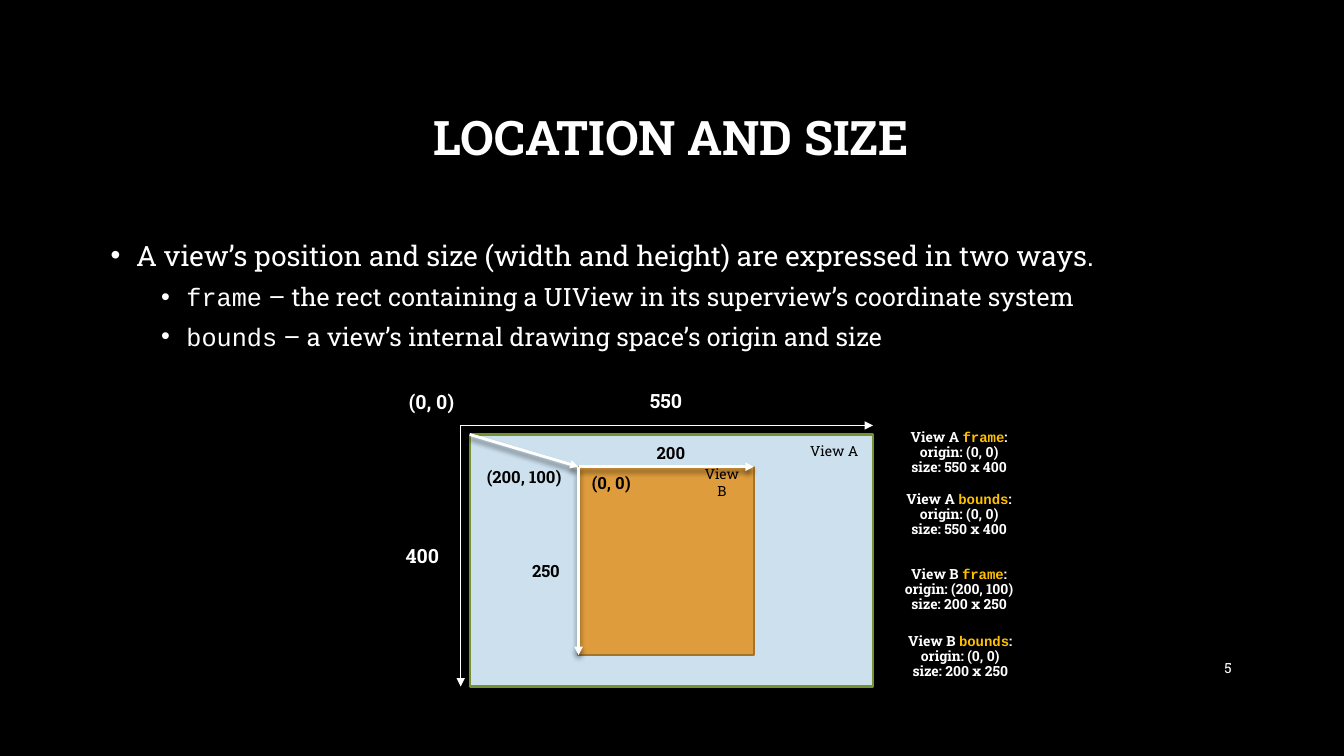
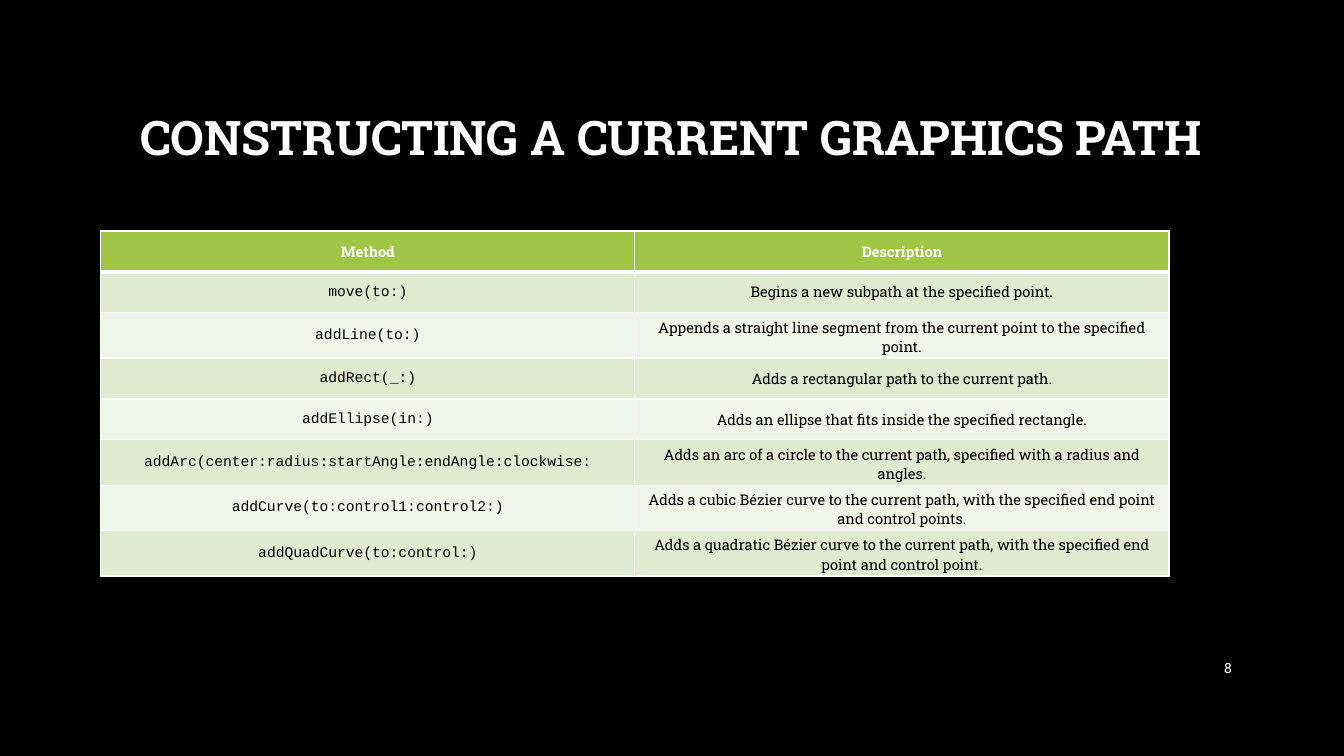
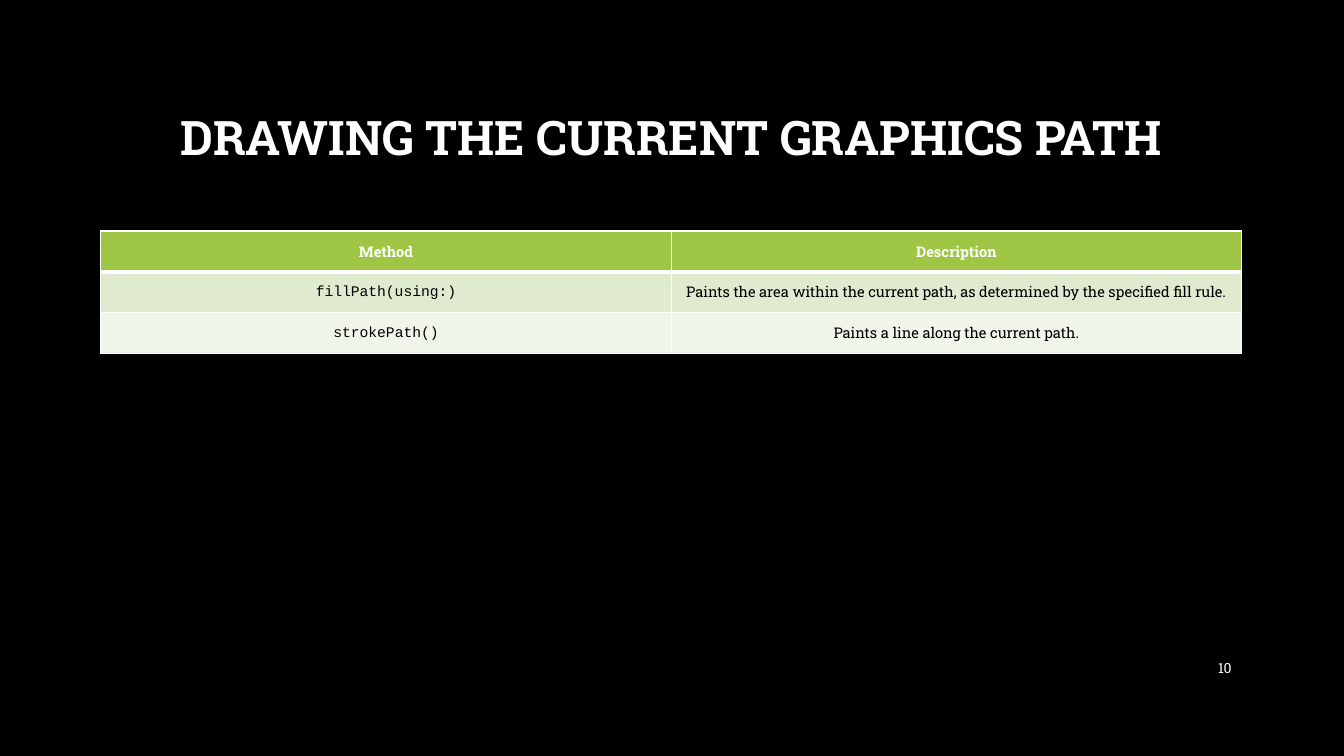
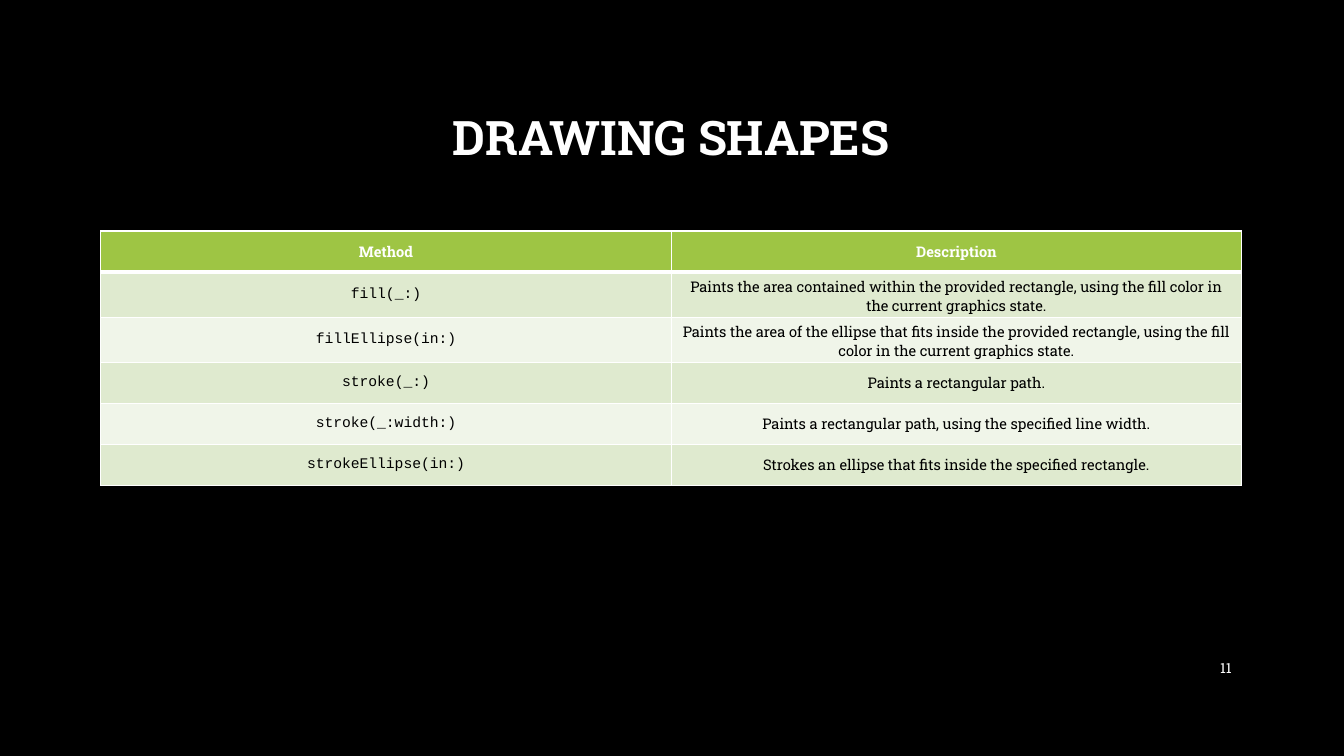
from pptx import Presentation
from pptx.dml.color import RGBColor
from pptx.enum.shapes import MSO_CONNECTOR, MSO_SHAPE
from pptx.enum.text import MSO_ANCHOR, PP_ALIGN
from pptx.oxml.ns import qn
from pptx.util import Cm, Pt
from lxml.etree import SubElement

BLACK = RGBColor(0x00, 0x00, 0x00)
WHITE = RGBColor(0xFF, 0xFF, 0xFF)
AMBER = RGBColor(0xFF, 0xC0, 0x00)
PALE_BLUE = RGBColor(0xCC, 0xE0, 0xEE)
OLIVE = RGBColor(0x75, 0x92, 0x32)
ORANGE = RGBColor(0xDE, 0x9C, 0x3C)
BROWN = RGBColor(0xA4, 0x73, 0x2C)
HEADER_GREEN = RGBColor(0x9E, 0xC5, 0x44)
BAND_DARK = RGBColor(0xDF, 0xEA, 0xCF)
BAND_LIGHT = RGBColor(0xF0, 0xF5, 0xE9)

SLAB = "Roboto Slab"
MONO = "Courier New"
LEFT = 2.54
CONTENT_TOP = 5.82
CONTENT_WIDTH = 28.75
ROW_HEIGHT = 1.03

PATH_METHODS = [
    ("move(to:)", "Begins a new subpath at the specified point."),
    ("addLine(to:)", "Appends a straight line segment from the current point to the specified point."),
    ("addRect(_:)", "Adds a rectangular path to the current path."),
    ("addEllipse(in:)", "Adds an ellipse that fits inside the specified rectangle."),
    ("addArc(center:radius:startAngle:endAngle:clockwise:",
     "Adds an arc of a circle to the current path, specified with a radius and angles."),
    ("addCurve(to:control1:control2:)",
     "Adds a cubic Bézier curve to the current path, with the specified end point and control points."),
    ("addQuadCurve(to:control:)",
     "Adds a quadratic Bézier curve to the current path, with the specified end point and control point."),
]
PAINT_METHODS = [
    ("fillPath(using:)",
     "Paints the area within the current path, as determined by the specified fill rule."),
    ("strokePath()", "Paints a line along the current path."),
]
SHAPE_METHODS = [
    ("fill(_:)",
     "Paints the area contained within the provided rectangle, using the fill color in the current graphics state."),
    ("fillEllipse(in:)",
     "Paints the area of the ellipse that fits inside the provided rectangle, "
     "using the fill color in the current graphics state."),
    ("stroke(_:)", "Paints a rectangular path."),
    ("stroke(_:width:)", "Paints a rectangular path, using the specified line width."),
    ("strokeEllipse(in:)", "Strokes an ellipse that fits inside the specified rectangle."),
]


def write_text(para, text, size=10, font=SLAB, color=WHITE, bold=False,
               align=PP_ALIGN.CENTER, spacing=None, before=0):
    para.alignment = align
    para.space_before = Pt(before)
    if spacing:
        para.line_spacing = spacing
    span = para.add_run()
    span.text = text
    span.font.size = Pt(size)
    span.font.name = font
    span.font.color.rgb = color
    span.font.bold = bold


def add_box(page, left, top, width, height, anchor=MSO_ANCHOR.MIDDLE):
    box = page.shapes.add_textbox(Cm(left), Cm(top), Cm(width), Cm(height))
    frame = box.text_frame
    frame.word_wrap = True
    frame.vertical_anchor = anchor
    return frame


def add_label(page, text, left, top, width, height, **style):
    write_text(add_box(page, left, top, width, height).paragraphs[0], text, **style)


def add_page(deck, title, number):
    page = deck.slides.add_slide(deck.slide_layouts[6])
    add_label(page, title, LEFT, 1.7, CONTENT_WIDTH, 3.68, size=34, bold=True, spacing=0.9)
    add_label(page, str(number), 29.21, 16.33, 2.08, 1.02, align=PP_ALIGN.RIGHT)
    return page


def add_bullet(para, indent):
    properties = para._p.get_or_add_pPr()
    properties.set("marL", str(Cm(indent)))
    properties.set("indent", str(-Cm(0.64)))
    SubElement(properties, qn("a:buFont"), typeface="Arial")
    SubElement(properties, qn("a:buChar"), char="•")


def add_bullets(page):
    frame = add_box(page, LEFT, CONTENT_TOP, CONTENT_WIDTH, 10.26, MSO_ANCHOR.TOP)
    para = frame.paragraphs[0]
    write_text(para, "A view’s position and size (width and height) are expressed in two ways.",
               size=20, align=PP_ALIGN.LEFT, spacing=1.08, before=10)
    add_bullet(para, 0.64)
    style = dict(size=18, align=PP_ALIGN.LEFT, spacing=1.08, before=5)
    for term, meaning in (
        ("frame", " – the rect containing a UIView in its superview’s coordinate system"),
        ("bounds", " – a view’s internal drawing space’s origin and size"),
    ):
        para = frame.add_paragraph()
        write_text(para, term, font=MONO, **style)
        write_text(para, meaning, **style)
        add_bullet(para, 1.91)


def add_rectangle(page, left, top, width, height, fill, outline):
    shape = page.shapes.add_shape(MSO_SHAPE.RECTANGLE, Cm(left), Cm(top), Cm(width), Cm(height))
    shape.shadow.inherit = False
    shape.fill.solid()
    shape.fill.fore_color.rgb = fill
    shape.line.color.rgb = outline
    shape.line.width = Pt(1.5)


def add_arrow(page, start, end, width, shadow=False):
    arrow = page.shapes.add_connector(MSO_CONNECTOR.STRAIGHT, *map(Cm, start + end))
    arrow.line.color.rgb = WHITE
    arrow.line.width = Pt(width)
    SubElement(arrow.line._get_or_add_ln(), qn("a:tailEnd"), type="triangle")
    effects = SubElement(arrow._element.spPr, qn("a:effectLst"))
    if shadow:
        outer = SubElement(effects, qn("a:outerShdw"), blurRad=str(Pt(4)), dist=str(Pt(3)),
                           dir="5400000", rotWithShape="0")
        tint = SubElement(outer, qn("a:srgbClr"), val=str(BLACK))
        SubElement(tint, qn("a:alpha"), val="54000")


def add_facts(page, facts, left, top, height):
    frame = add_box(page, left, top, 3.84, height)
    para = frame.paragraphs[0]
    for index, (view, term, origin, size) in enumerate(facts):
        if index:
            para = frame.add_paragraph()
        style = dict(bold=True, spacing=0.9)
        before = 12 if index else 0
        write_text(para, f"{view} ", before=before, **style)
        write_text(para, term, font=MONO, color=AMBER, before=before, **style)
        write_text(para, ":", before=before, **style)
        for line in (f"origin: {origin}", f"size: {size}"):
            write_text(frame.add_paragraph(), line, **style)


def add_diagram(page):
    a_left, a_top, a_width, a_height = 11.84, 10.95, 10.16, 6.35
    b_left, b_top, b_width, b_height = 14.58, 11.76, 4.42, 4.75
    a_right, a_bottom = a_left + a_width, a_top + a_height
    axis_left, axis_top = a_left - 0.23, a_top - 0.23

    add_rectangle(page, a_left, a_top, a_width, a_height, PALE_BLUE, OLIVE)
    add_rectangle(page, b_left, b_top, b_width, b_height, ORANGE, BROWN)
    add_label(page, "View A", 20.07, a_top, 1.91, 0.81, color=BLACK)
    add_label(page, "View B", 17.37, b_top, 1.65, 0.81, color=BLACK)

    for end in ((a_right, axis_top), (axis_left, a_bottom)):
        add_arrow(page, (axis_left, axis_top), end, 1)
    b_corner = (b_left, b_top)
    for start, end in (
        ((a_left, a_top), b_corner),
        (b_corner, (b_left + b_width, b_top)),
        (b_corner, (b_left, b_top + b_height)),
    ):
        add_arrow(page, start, end, 2, shadow=True)

    for text, left, top in (("(0, 0)", 9.91, 9.75), ("550", 15.82, 9.73), ("400", 9.68, 13.64)):
        add_label(page, text, left, top, 1.93, 0.74, size=14, bold=True)
    for text, left, top, width in (
        ("(200, 100)", a_left, 11.61, 2.74),
        ("200", 15.54, 11, 2.74),
        ("250", 13.06, 13.97, 1.4),
        ("(0, 0)", b_left, b_top, 1.65),
    ):
        add_label(page, text, left, top, width, 0.81, size=12, bold=True, color=BLACK)

    add_facts(page, [("View A", term, "(0, 0)", "550 x 400") for term in ("frame", "bounds")],
              22.25, 10.72, 2.95)
    add_facts(page, [("View B", "frame", "(200, 100)", "200 x 250")], 22.25, 13.92, 1.91)
    add_facts(page, [("View B", "bounds", "(0, 0)", "200 x 250")], 22.28, 15.6, 1.91)


def style_cell(cell, fill, top, bottom):
    cell.vertical_anchor = MSO_ANCHOR.MIDDLE
    properties = cell._tc.get_or_add_tcPr()
    for side, width in (("L", 1), ("R", 1), ("T", top), ("B", bottom)):
        border = SubElement(properties, qn(f"a:ln{side}"), w=str(Pt(width)))
        SubElement(SubElement(border, qn("a:solidFill")), qn("a:srgbClr"), val=str(WHITE))
    cell.fill.solid()
    cell.fill.fore_color.rgb = fill


def add_method_table(page, methods, width=CONTENT_WIDTH):
    rows = [("Method", "Description")] + methods
    table = page.shapes.add_table(len(rows), 2, Cm(LEFT), Cm(CONTENT_TOP),
                                  Cm(width), Cm(ROW_HEIGHT * len(rows))).table
    for row_index, texts in enumerate(rows):
        header = row_index == 0
        fill = HEADER_GREEN if header else (BAND_LIGHT, BAND_DARK)[row_index % 2]
        for column, text in enumerate(texts):
            cell = table.cell(row_index, column)
            style_cell(cell, fill, top=3 if row_index == 1 else 1, bottom=3 if header else 1)
            write_text(cell.text_frame.paragraphs[0], text, size=10.5, bold=header,
                       font=MONO if column == 0 and not header else SLAB,
                       color=WHITE if header else BLACK)


def main():
    deck = Presentation()
    deck.slide_width, deck.slide_height = Cm(33.87), Cm(19.05)
    background = deck.slide_master.background.fill
    background.solid()
    background.fore_color.rgb = BLACK

    page = add_page(deck, "LOCATION AND SIZE", 5)
    add_bullets(page)
    add_diagram(page)
    add_method_table(add_page(deck, "CONSTRUCTING A CURRENT GRAPHICS PATH", 8), PATH_METHODS, 26.92)
    add_method_table(add_page(deck, "DRAWING THE CURRENT GRAPHICS PATH", 10), PAINT_METHODS)
    add_method_table(add_page(deck, "DRAWING SHAPES", 11), SHAPE_METHODS)
    deck.save("out.pptx")


main()
